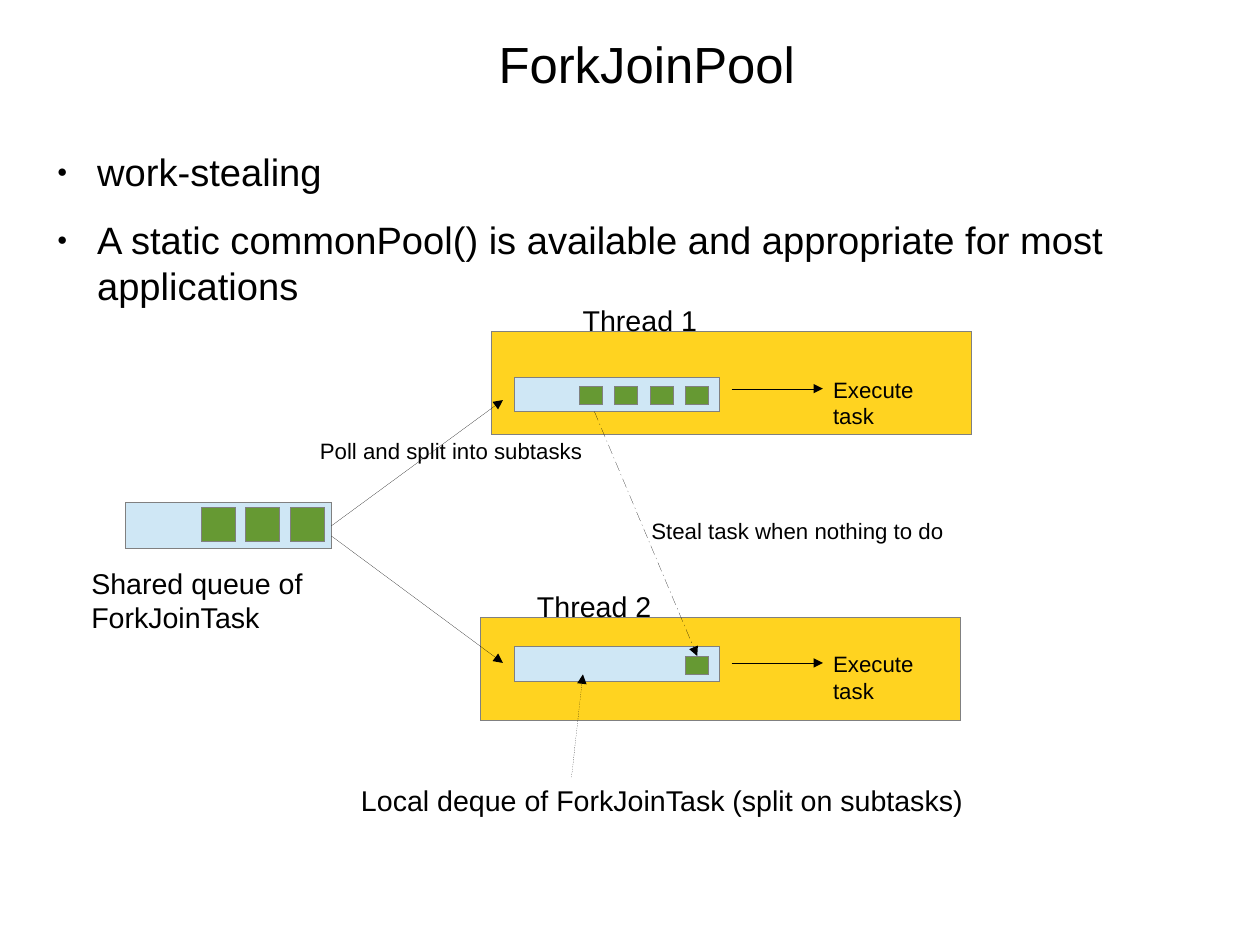
import pptx
import pptx.dml.color
import pptx.enum.dml
import pptx.enum.shapes
import pptx.enum.text
import pptx.oxml
import pptx.oxml.ns
import pptx.util

Inches = pptx.util.Inches
Pt = pptx.util.Pt
Dash = pptx.enum.dml.MSO_LINE
Align = pptx.enum.text.PP_ALIGN
Anchor = pptx.enum.text.MSO_ANCHOR

BLACK, GREY, YELLOW, BLUE, GREEN = "000000", "808080", "FFD320", "CFE7F5", "669933"
LABEL_MARGINS = (0.1, 0.05)


def color(value):
    return pptx.dml.color.RGBColor.from_string(value)


def append_xml(parent, tag, **attributes):
    element = pptx.oxml.parse_xml(f"<a:{tag} {pptx.oxml.ns.nsdecls('a')}/>")
    for name, value in attributes.items():
        element.set(name, value)
    parent.append(element)
    return element


def set_hairline(shape, line_color):
    """Write a zero width, which line.width would leave out."""
    shape.line.color.rgb = color(line_color)
    outline = shape.line._get_or_add_ln()
    outline.set("w", "0")
    return outline


def add_rectangle(slide, left, top, width, height, fill):
    shape = slide.shapes.add_shape(
        pptx.enum.shapes.MSO_SHAPE.RECTANGLE,
        Inches(left), Inches(top), Inches(width), Inches(height))
    shape.shadow.inherit = False
    shape.fill.solid()
    shape.fill.fore_color.rgb = color(fill)
    set_hairline(shape, GREY)


def add_arrow(slide, start, end, dash=None):
    connector = slide.shapes.add_connector(
        pptx.enum.shapes.MSO_CONNECTOR.STRAIGHT,
        *(Inches(value) for value in (*start, *end)))
    outline = set_hairline(connector, BLACK)
    if dash:
        connector.line.dash_style = dash
    append_xml(outline, "tailEnd", type="triangle")
    append_xml(connector._element.spPr, "effectLst")


def add_text(slide, box, lines, size, margins=LABEL_MARGINS, wrap=False,
             anchor=Anchor.TOP, align=Align.LEFT, bullets=False):
    frame = slide.shapes.add_textbox(*(Inches(value) for value in box)).text_frame
    side, end = (Inches(value) for value in margins)
    fit = pptx.enum.text.MSO_AUTO_SIZE
    frame_format = {"margin_left": side, "margin_right": side, "margin_top": end,
                    "margin_bottom": end, "word_wrap": wrap, "vertical_anchor": anchor,
                    "auto_size": fit.NONE if wrap else fit.SHAPE_TO_FIT_TEXT}
    for name, value in frame_format.items():
        setattr(frame, name, value)
    frame.text = "\n".join(lines)
    for paragraph in frame.paragraphs:
        paragraph.alignment = align
        if bullets:
            add_bullet(paragraph)
        for name, value in {"name": "Arial", "size": Pt(size)}.items():
            setattr(paragraph.font, name, value)
        paragraph.font.color.rgb = color(BLACK)
    return frame


def add_bullet(paragraph):
    paragraph.space_after = Pt(14.1)
    properties = paragraph._p.get_or_add_pPr()
    properties.set("marL", str(Inches(0.47)))
    properties.set("indent", str(Inches(-0.35)))
    append_xml(append_xml(properties, "buClr"), "srgbClr", val=BLACK)
    append_xml(properties, "buSzPct", val="45000")
    append_xml(properties, "buFont", typeface="Arial")
    append_xml(properties, "buChar", char="●")


def add_queue(slide, box, count, task_size, pitch, right_gap, top_gap):
    """Draw a queue with its tasks lined up from the right end."""
    left, top, width, height = box
    task_width, task_height = task_size
    add_rectangle(slide, *box, BLUE)
    for index in range(count):
        task_left = left + width - right_gap - task_width - index * pitch
        add_rectangle(slide, task_left, top + top_gap, task_width, task_height, GREEN)


def add_thread(slide, box, name, name_left, queue_top, arrow_y, task_count):
    """Draw a thread with its local deque and the task it executes."""
    left, top, width, height = box
    add_rectangle(slide, *box, YELLOW)
    add_queue(slide, (4.5, queue_top, 1.8, 0.3), task_count, (0.2, 0.16), 0.31, 0.1, 0.08)
    add_arrow(slide, (6.4, arrow_y), (7.2, arrow_y))
    add_text(slide, (7.19, arrow_y - 0.16, 1.31, 0.32), ["Execute task"], 14)
    add_text(slide, (left + name_left, top - 0.3, 1.2, 0.38), [name], 18)


def add_shared_queue(slide, left, top):
    add_queue(slide, (left, top, 1.8, 0.4), 3, (0.3, 0.3), 0.39, 0.06, 0.04)
    add_text(slide, (left - 0.4, top + 0.5, 2.12, 0.66),
             ["Shared queue of", "ForkJoinTask"], 18)


def add_heading(slide):
    title = add_text(slide, (0.58, 0.27, 9.92, 0.57), ["ForkJoinPool"], 32, (0, 0), True,
                     Anchor.MIDDLE, Align.CENTER)
    title.paragraphs[0]._p.get_or_add_pPr().set("marL", str(Inches(0.24)))
    add_text(slide, (0.38, 1.3, 10.32, 3.39),
             ["work-stealing",
              "A static commonPool() is available and appropriate for most applications"],
             24, (0, 0), True, bullets=True)


def add_task_flow(slide):
    add_arrow(slide, (2.9, 4.6), (4.4, 3.5))
    add_arrow(slide, (2.9, 4.69), (4.4, 5.8))
    add_arrow(slide, (5.2, 3.6), (6.1, 5.74), Dash.LONG_DASH_DOT)
    add_arrow(slide, (5, 6.8), (5.1, 5.9), Dash.ROUND_DOT)
    add_text(slide, (2.7, 3.78, 2.5, 0.32), ["Poll and split into subtasks"], 14)
    add_text(slide, (5.6, 4.48, 2.76, 0.32), ["Steal task when nothing to do"], 14)
    add_text(slide, (3.06, 6.8, 5.49, 0.38),
             ["Local deque of ForkJoinTask (split on subtasks)"], 18)


def main():
    presentation = pptx.Presentation()
    presentation.slide_width = pptx.util.Cm(28)
    presentation.slide_height = pptx.util.Cm(21)
    slide = presentation.slides.add_slide(presentation.slide_layouts[6])
    add_heading(slide)
    add_shared_queue(slide, 1.1, 4.4)
    add_thread(slide, (4.3, 2.9, 4.2, 0.9), "Thread 1", 0.7, 3.3, 3.4, 4)
    add_thread(slide, (4.2, 5.4, 4.2, 0.9), "Thread 2", 0.4, 5.66, 5.8, 1)
    add_task_flow(slide)
    presentation.save("out.pptx")


if __name__ == "__main__":
    main()
